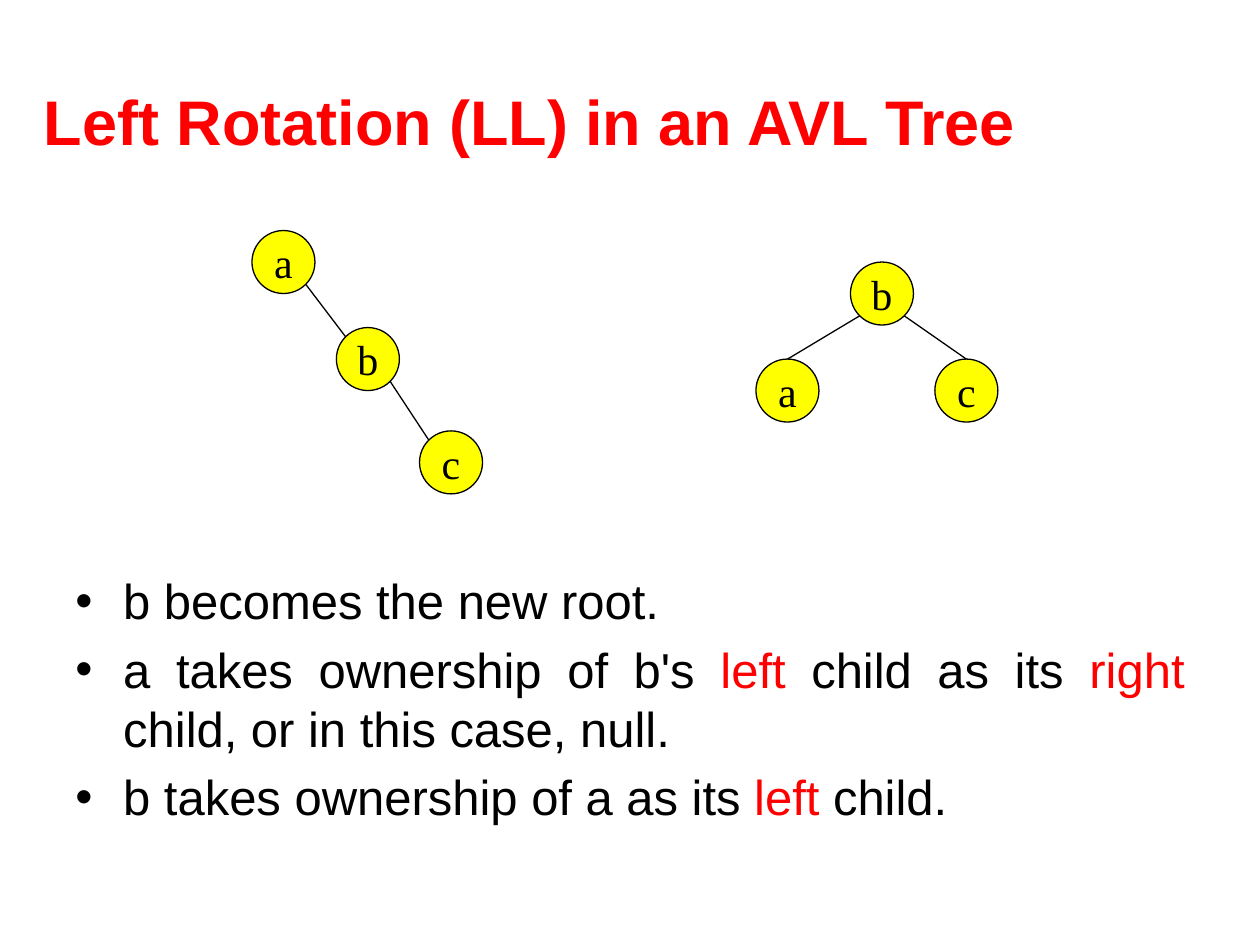
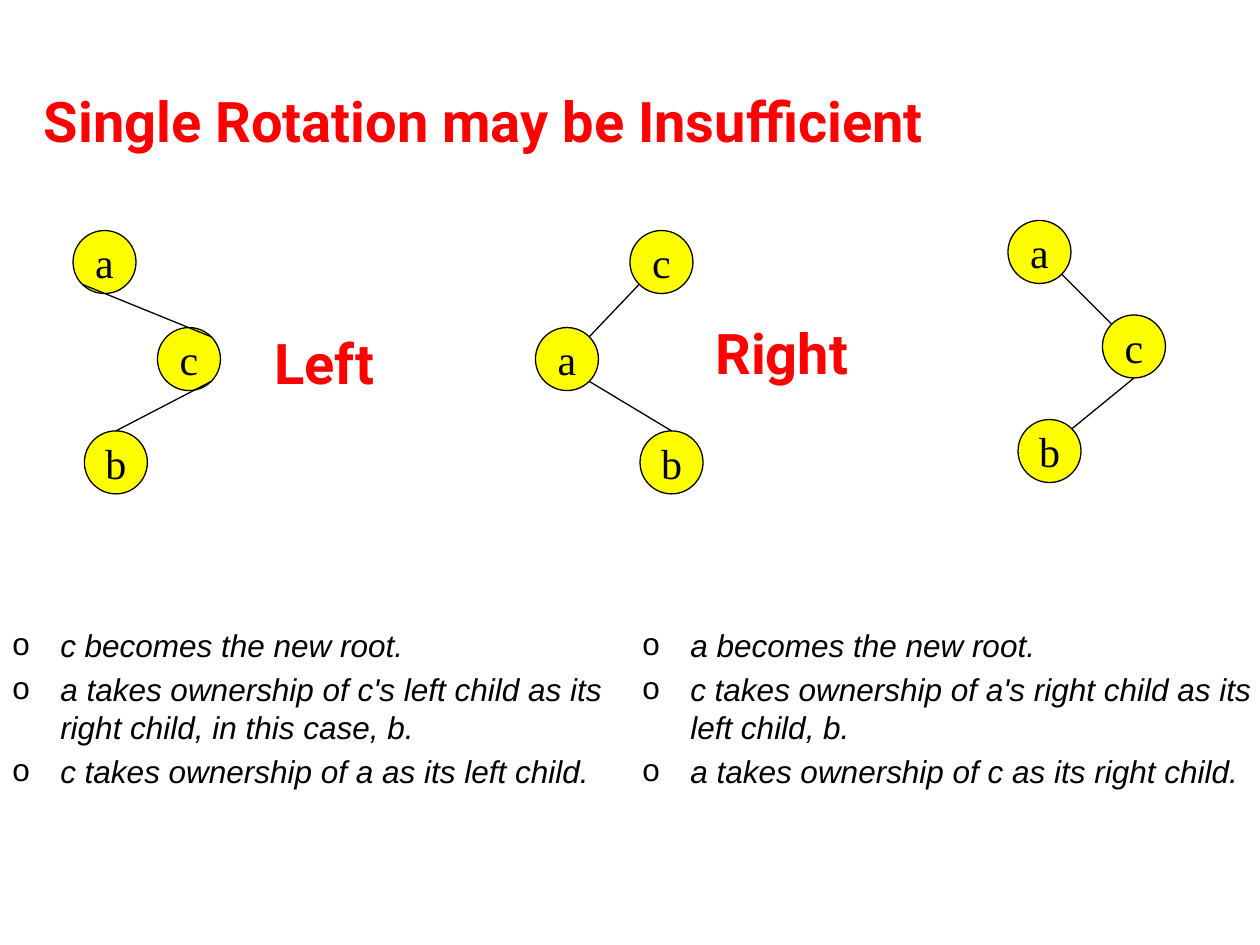
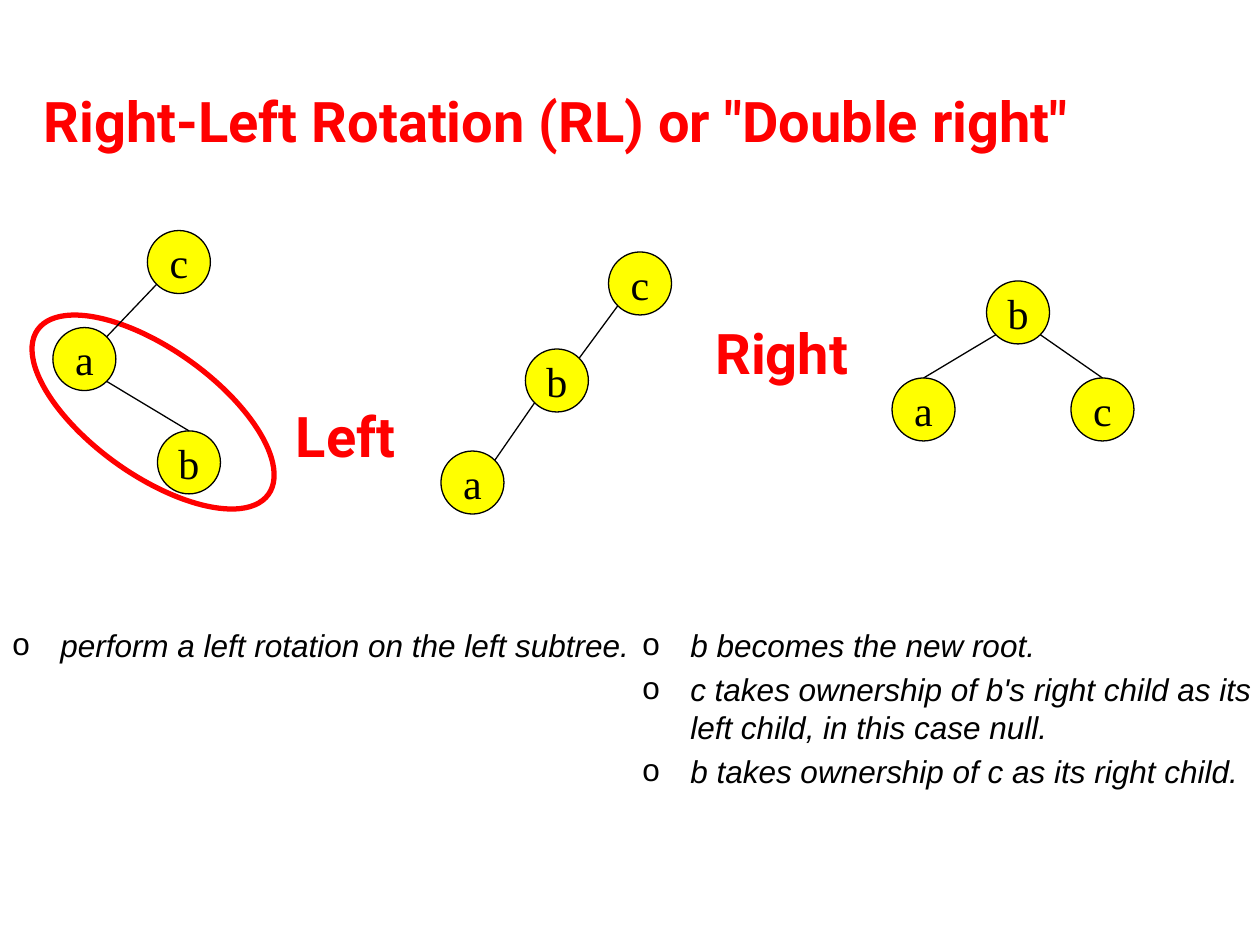
from pptx import Presentation, util as u
from pptx.dml.color import RGBColor
from pptx.enum import shapes, text
from pptx.oxml.ns import qn
from lxml import etree

COLORS = {"accent": "FF0000", "ink": "000000", "node": "FFFF00"}
NODE_SIZE = 0.5
DIAGONAL = 0.5 ** 0.5 / 2
SITES = {
    "top": (0.5, 0),
    "bottom": (0.5, 1),
    "top_left": (0.5 - DIAGONAL, 0.5 - DIAGONAL),
    "top_right": (0.5 + DIAGONAL, 0.5 - DIAGONAL),
    "bottom_left": (0.5 - DIAGONAL, 0.5 + DIAGONAL),
    "bottom_right": (0.5 + DIAGONAL, 0.5 + DIAGONAL),
}
BALANCED = [("b", "bottom_left", "a", "top"), ("b", "bottom_right", "c", "top")]
LEFT_HEAVY_ZIGZAG = [("c", "bottom_left", "a", "top_right"),
                     ("a", "bottom_right", "b", "top")]


def color(key):
    """Return a palette colour."""
    return RGBColor.from_string(COLORS[key])


def style(run, size, font, key="ink", bold=False, italic=False):
    """Format one run."""
    run.font.size = u.Pt(size)
    run.font.name = font
    run.font.color.rgb = color(key)
    run.font.bold = bold
    run.font.italic = italic


def add_text_frame(slide, left, top, width, height):
    """Add a wrapping text box and return its frame."""
    box = slide.shapes.add_textbox(*map(u.Inches, (left, top, width, height)))
    box.text_frame.word_wrap = True
    return box.text_frame


def add_heading(slide, words, left, top, width=2.17, size=32, font="Roboto"):
    """Add a bold red heading, centred vertically."""
    frame = add_text_frame(slide, left, top, width, 0.75)
    frame.vertical_anchor = text.MSO_ANCHOR.MIDDLE
    frame.text = words
    style(frame.paragraphs[0].runs[0], size, font, "accent", bold=True)
    return frame.paragraphs[0]


def add_titled_slide(deck, title, size=32, font="Roboto"):
    """Add a blank slide with the shared title."""
    slide = deck.slides.add_slide(deck.slide_layouts[6])
    heading = add_heading(slide, title, 0.25, 0.58, 9, size, font)
    heading.alignment = text.PP_ALIGN.JUSTIFY
    return slide


def add_bullet(paragraph, mark):
    """Give a paragraph a hanging bullet."""
    properties = paragraph._p.get_or_add_pPr()
    properties.set("marL", str(u.Inches(0.38)))
    properties.set("indent", str(-u.Inches(0.38)))
    etree.SubElement(properties, qn("a:buFont")).set("typeface", "Arial")
    etree.SubElement(properties, qn("a:buChar")).set("char", mark)


def add_steps(slide, steps, left, top=4.92, width=5.25, height=2.37, size=18,
              mark="o", italic=True, align=text.PP_ALIGN.LEFT):
    """Add bulleted steps; words between asterisks are red."""
    frame = add_text_frame(slide, left, top, width, height)
    for index, step in enumerate(steps):
        paragraph = frame.add_paragraph() if index else frame.paragraphs[0]
        paragraph.alignment = align
        paragraph.space_before = u.Pt(size * 0.2)
        add_bullet(paragraph, mark)
        for position, words in enumerate(step.split("*")):
            run = paragraph.add_run()
            run.text = words
            style(run, size, "Arial", "accent" if position % 2 else "ink", italic=italic)


def add_ellipse(slide, left, top, width, height, line, weight):
    """Add an unfilled ellipse."""
    ellipse = slide.shapes.add_shape(
        shapes.MSO_SHAPE.OVAL, *map(u.Inches, (left, top, width, height)))
    ellipse.shadow.inherit = False
    ellipse.fill.background()
    ellipse.line.color.rgb = color(line)
    ellipse.line.width = u.Pt(weight)
    return ellipse


def add_node(slide, label, left, top):
    """Add a labelled yellow tree node."""
    node = add_ellipse(slide, left, top, NODE_SIZE, NODE_SIZE, "ink", 0.75)
    node.fill.solid()
    node.fill.fore_color.rgb = color("node")
    frame = node.text_frame
    frame.word_wrap = False
    frame.vertical_anchor = text.MSO_ANCHOR.MIDDLE
    frame.text = label
    frame.paragraphs[0].alignment = text.PP_ALIGN.CENTER
    style(frame.paragraphs[0].runs[0], 24, "Times New Roman")


def add_edge(slide, start, end):
    """Add a thin line between two points."""
    edge = slide.shapes.add_connector(
        shapes.MSO_CONNECTOR.STRAIGHT, *map(u.Inches, (*start, *end)))
    edge.line.color.rgb = color("ink")
    edge.line.width = u.Pt(0.75)
    etree.SubElement(edge._element.spPr, qn("a:effectLst"))


def site_point(corner, site):
    """Return the point of a site on a node's rim."""
    return [start + NODE_SIZE * share for start, share in zip(corner, SITES[site])]


def add_tree(slide, nodes, edges):
    """Add the nodes of a tree and the edges between their sites."""
    for label, corner in nodes.items():
        add_node(slide, label, *corner)
    for parent, parent_site, child, child_site in edges:
        add_edge(slide, site_point(nodes[parent], parent_site),
                 site_point(nodes[child], child_site))


def add_left_rotation(deck):
    """Build the left rotation slide."""
    slide = add_titled_slide(deck, "Left Rotation (LL) in an AVL Tree", 36, "Arial")
    add_steps(slide, [
        "b becomes the new root.",
        "a takes ownership of b's *left* child as its *right* child, or in this case, null.",
        "b takes ownership of a as its *left* child.",
    ], 0.5, 4.48, 9, 2.22, 28, "•", False, text.PP_ALIGN.JUSTIFY)
    add_tree(slide, {"b": (6.75, 2.08), "a": (6, 2.85), "c": (7.42, 2.85)}, BALANCED)
    add_tree(slide, {"a": (2, 1.83), "c": (3.33, 3.42), "b": (2.67, 2.6)},
             [("a", "bottom_right", "b", "top_left"),
              ("b", "bottom_right", "c", "top_left")])


def add_insufficient_rotation(deck):
    """Build the slide on the limits of single rotation."""
    slide = add_titled_slide(deck, "Single Rotation may be Insufficient")
    add_steps(slide, [
        "c becomes the new root.",
        "a takes ownership of c's left child as its right child, in this case, b.",
        "c takes ownership of a as its left child.",
    ], 0)
    add_steps(slide, [
        "a becomes the new root.",
        "c takes ownership of a's right child as its left child, b.",
        "a takes ownership of c as its right child.",
    ], 5)
    add_tree(slide, {"a": (0.58, 1.83), "b": (0.67, 3.42), "c": (1.25, 2.6)},
             [("a", "bottom_left", "c", "top_right"),
              ("c", "bottom_right", "b", "top")])
    add_tree(slide, {"c": (5, 1.83), "b": (5.08, 3.42), "a": (4.25, 2.6)},
             LEFT_HEAVY_ZIGZAG)
    add_tree(slide, {"a": (8, 1.75), "c": (8.75, 2.5), "b": (8.08, 3.33)},
             [("a", "bottom_right", "c", "top_left"),
              ("c", "bottom", "b", "top_right")])
    add_heading(slide, "Left", 2.08, 2.5)
    add_heading(slide, "Right", 5.58, 2.42)


def add_double_rotation(deck):
    """Build the right-left rotation slide."""
    slide = add_titled_slide(deck, 'Right-Left Rotation (RL) or "Double right"')
    add_steps(slide, ["perform a left rotation on the left subtree."], 0)
    add_steps(slide, [
        "b becomes the new root.",
        "c takes ownership of b's right child as its left child, in this case null.",
        "b takes ownership of c as its right child.",
    ], 5)
    add_heading(slide, "Left", 2.25, 3.08)
    add_heading(slide, "Right", 5.58, 2.42)
    subtree = add_ellipse(slide, 0.09, 2.77, 2.25, 1, "accent", 3)
    subtree.rotation = 215.5
    add_tree(slide, {"b": (7.83, 2.23), "a": (7.08, 3), "c": (8.5, 3)}, BALANCED)
    add_tree(slide, {"c": (1.17, 1.83), "b": (1.25, 3.42), "a": (0.42, 2.6)},
             LEFT_HEAVY_ZIGZAG)
    add_tree(slide, {"c": (4.83, 2), "a": (3.5, 3.58), "b": (4.17, 2.77)},
             [("c", "bottom_left", "b", "top_right"),
              ("b", "bottom_left", "a", "top_right")])


def main():
    """Build and save the deck."""
    deck = Presentation()
    deck.slide_width, deck.slide_height = u.Inches(10), u.Inches(7.5)
    add_left_rotation(deck)
    add_insufficient_rotation(deck)
    add_double_rotation(deck)
    deck.save("out.pptx")


if __name__ == "__main__":
    main()
